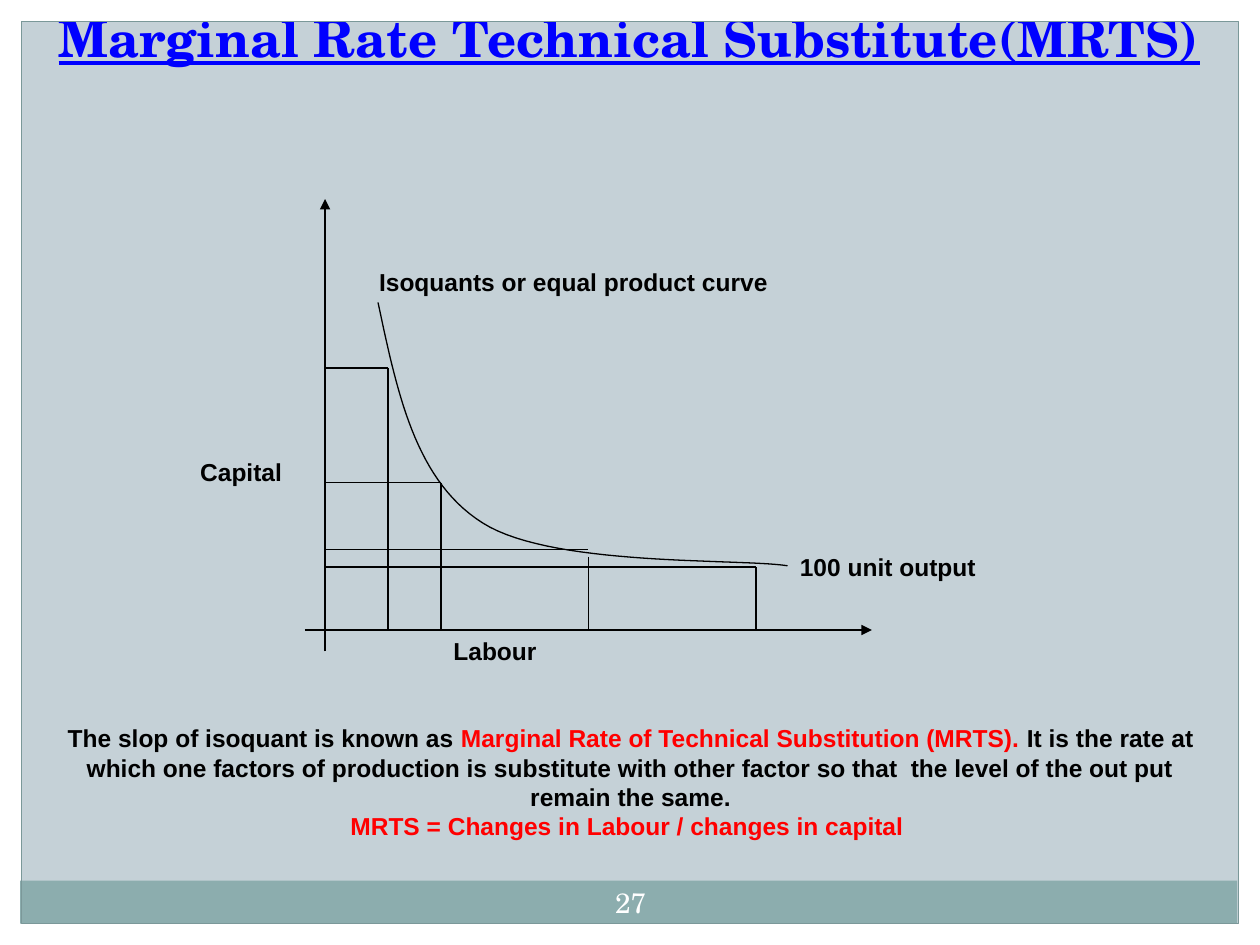
from dataclasses import dataclass

from lxml import etree
from pptx import Presentation
from pptx import util as u
from pptx.dml.color import RGBColor
from pptx.enum import shapes, text
from pptx.oxml.ns import qn


@dataclass(frozen=True)
class Theme:
    background: str = "C5D1D7"
    margin: str = "FFFFFF"
    band: str = "8CADAE"
    frame: str = "7B9899"
    ink: str = "000000"
    accent: str = "FF0000"
    heading: str = "0000FF"
    page: str = "FFFFFF"
    serif: str = "TeX Gyre Schola"
    sans: str = "Arial"
    title_size: int = 29
    text_size: int = 14
    page_size: int = 16
    line_width: float = 0.75


class SlideBuilder:
    def __init__(self, slide, theme):
        self.slide = slide
        self.theme = theme
        fill = slide.background.fill
        fill.solid()
        fill.fore_color.rgb = RGBColor.from_string(theme.background)

    def outline(self, line, color):
        line.color.rgb = RGBColor.from_string(color)
        line.width = u.Pt(self.theme.line_width)

    def font(self, font, size, name, color, bold=False):
        font.size = u.Pt(size)
        font.name = name
        font.bold = bold
        font.color.rgb = RGBColor.from_string(color)

    def rect(self, box, fill=None, line=None):
        shape = self.slide.shapes.add_shape(
            shapes.MSO_SHAPE.RECTANGLE, *map(u.Inches, box))
        shape.shadow.inherit = False
        if fill:
            shape.fill.solid()
            shape.fill.fore_color.rgb = RGBColor.from_string(fill)
        else:
            shape.fill.background()
        if line:
            self.outline(shape.line, line)
        else:
            shape.line.fill.background()

    def line(self, start, end, arrow=False):
        connector = self.slide.shapes.add_connector(
            shapes.MSO_CONNECTOR.STRAIGHT, *map(u.Inches, start + end))
        self.outline(connector.line, self.theme.ink)
        if arrow:
            etree.SubElement(connector.line._get_or_add_ln(),
                             qn("a:tailEnd"), type="triangle")
        etree.SubElement(connector._element.spPr, qn("a:effectLst"))

    def curve(self, start, segments, steps=30):
        """Trace cubic segments, each given as two controls and an end."""
        points, origin = [], start
        for c1, c2, end in segments:
            for i in range(1, steps + 1):
                t = i / steps
                s = 1 - t
                points.append(tuple(
                    u.Inches(s**3 * a + 3 * s * s * t * b + 3 * s * t * t * c + t**3 * d)
                    for a, b, c, d in zip(origin, c1, c2, end)))
            origin = end
        builder = self.slide.shapes.build_freeform(*map(u.Inches, start))
        builder.add_line_segments(points, close=False)
        shape = builder.convert_to_shape()
        shape.shadow.inherit = False
        shape.fill.background()
        self.outline(shape.line, self.theme.ink)

    def title(self, wording, box):
        title = self.slide.shapes.title
        title.left, title.top, title.width, title.height = map(u.Inches, box)
        frame = title.text_frame
        frame.text = wording
        frame.auto_size = text.MSO_AUTO_SIZE.NONE
        frame.word_wrap = False
        frame.vertical_anchor = text.MSO_ANCHOR.BOTTOM
        frame.margin_bottom = u.Inches(0.54)
        paragraph = frame.paragraphs[0]
        paragraph.alignment = text.PP_ALIGN.CENTER
        self.font(paragraph.font, self.theme.title_size, self.theme.serif,
                  self.theme.heading, bold=True)
        paragraph.font.underline = True

    def text_box(self, box):
        frame = self.slide.shapes.add_textbox(*map(u.Inches, box)).text_frame
        frame.word_wrap = True
        return frame

    def label(self, wording, box):
        paragraph = self.text_box(box).paragraphs[0]
        paragraph.text = wording
        self.font(paragraph.font, self.theme.text_size, self.theme.sans,
                  self.theme.ink, bold=True)

    def explanation(self, box, paragraphs):
        frame = self.text_box(box)
        for i, runs in enumerate(paragraphs):
            paragraph = frame.add_paragraph() if i else frame.paragraphs[0]
            paragraph.alignment = text.PP_ALIGN.CENTER
            for wording, color in runs:
                run = paragraph.add_run()
                run.text = wording
                self.font(run.font, self.theme.text_size, self.theme.sans,
                          color, bold=True)

    def page_number(self, number, box):
        frame = self.text_box(box)
        frame.margin_left = frame.margin_right = u.Inches(0.05)
        frame.vertical_anchor = text.MSO_ANCHOR.MIDDLE
        paragraph = frame.paragraphs[0]
        paragraph.text = number
        paragraph.alignment = text.PP_ALIGN.CENTER
        self.font(paragraph.font, self.theme.page_size, self.theme.serif,
                  self.theme.page)


def main():
    theme = Theme()
    deck = Presentation()
    deck.slide_width, deck.slide_height = u.Inches(10), u.Inches(7.5)
    page = SlideBuilder(deck.slides.add_slide(deck.slide_layouts[5]), theme)

    # White margins, footer band and frame
    for margin in ((0, 7.33, 10, 0.17), (0, 0, 10, 0.17),
                   (9.83, 0, 0.17, 7.5), (0, 0, 0.17, 7.5)):
        page.rect(margin, fill=theme.margin)
    page.rect((0.16, 6.99, 9.66, 0.34), fill=theme.band)
    page.rect((0.17, 0.17, 9.66, 7.16), line=theme.frame)

    page.title("Marginal Rate Technical Substitute(MRTS)", (0.33, 0.25, 9.33, 0.83))

    # Axes
    axis_x, axis_y = 2.58, 5
    page.line((2.42, axis_y), (6.92, axis_y), arrow=True)
    page.line((axis_x, 5.17), (axis_x, 1.58), arrow=True)

    # Isoquant
    page.curve((3, 2.4), [((3.15, 3.1), (3.29, 3.81), (3.83, 4.15)),
                          ((4.38, 4.5), (5.85, 4.43), (6.25, 4.49))])

    # Guides to both axes: labour, capital, top of the upright guide
    for labour, capital, top in ((3.08, 2.92, 2.92), (3.5, 3.83, 3.83),
                                 (4.67, 4.36, 4.42), (6, 4.5, 4.5)):
        page.line((labour, top), (labour, axis_y))
        page.line((axis_x, capital), (labour, capital))

    # Diagram labels, each box a little wider than its line of text
    page.label("100 unit output", (6.25, 4.33, 1.7, 0.34))
    page.label("Labour", (3.5, 5, 0.95, 0.34))
    page.label("Capital", (1.49, 3.58, 0.95, 0.34))
    page.label("Isoquants or equal product curve", (2.91, 2.07, 3.45, 0.34))

    # Definition and formula
    page.explanation((0.42, 5.69, 9.17, 1.04), [
        [("The slop of isoquant is known as ", theme.ink),
         ("Marginal Rate of Technical Substitution (MRTS). ", theme.accent),
         ("It is the rate at which one factors of production is substitute with "
          "other factor so that  the level of the out put remain the same.", theme.ink)],
        [("MRTS = Changes in Labour / changes in capital ", theme.accent)],
    ])

    page.page_number("27", (4.67, 6.92, 0.67, 0.48))
    deck.save("out.pptx")


if __name__ == "__main__":
    main()
